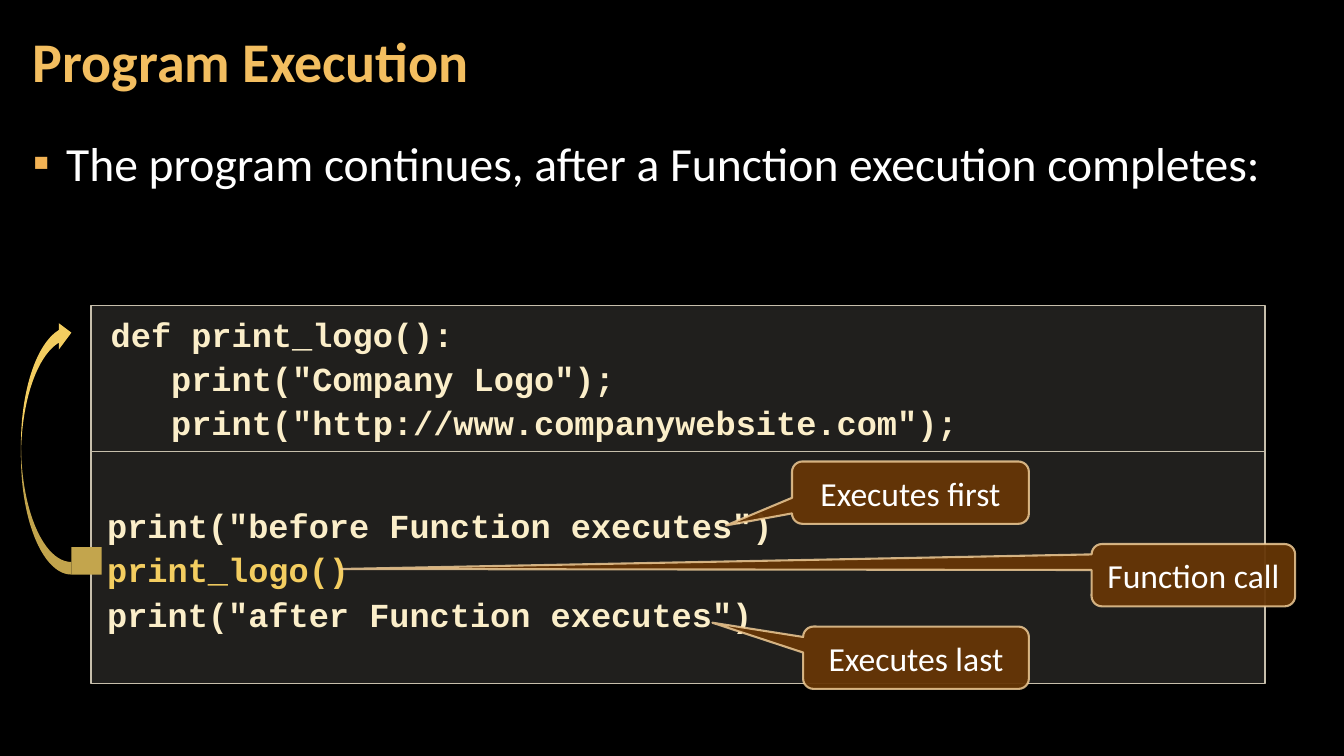
from pptx import Presentation
from pptx.dml.color import RGBColor
from pptx.enum.shapes import MSO_SHAPE
from pptx.enum.text import MSO_ANCHOR, PP_ALIGN
from pptx.oxml import parse_xml
from pptx.oxml.ns import nsdecls, qn
from pptx.util import Cm, Pt

CODE_FONT, TEXT_FONT = "Courier New", "Calibri"
WHITE, CREAM, GOLD = "FFFFFF", "FBEEC9", "F3CD60"


def colour(hex_string):
    return RGBColor.from_string(hex_string)


def set_alpha(paint, percent):
    solid = paint._xPr.find(qn("a:solidFill"))
    solid[0].append(parse_xml(f'<a:alpha {nsdecls("a")} val="{percent * 1000}"/>'))


def add_block(page, kind, box, fill, opacity=100):
    shape = page.shapes.add_shape(kind, *map(Cm, box))
    shape.shadow.inherit = False
    shape.fill.solid()
    shape.fill.fore_color.rgb = colour(fill)
    set_alpha(shape.fill, opacity)
    shape.line.fill.background()
    return shape


def set_line(shape, hex_string, width):
    shape.line.color.rgb = colour(hex_string)
    shape.line.width = Pt(width)


def set_frame(shape, anchor, side=0.3, top=0.1, bottom=0.1):
    frame = shape.text_frame
    frame.word_wrap = True
    frame.vertical_anchor = anchor
    frame.margin_left = frame.margin_right = Cm(side)
    frame.margin_top, frame.margin_bottom = Cm(top), Cm(bottom)
    return frame


def add_span(para, text, font, size, hex_string, bold=False):
    span = para.add_run()
    span.text = text
    span.font.name = font
    span.font.size = Pt(size)
    span.font.bold = bold
    span.font.color.rgb = colour(hex_string)


def add_title(page, box, text):
    frame = set_frame(page.shapes.add_textbox(*map(Cm, box)), MSO_ANCHOR.MIDDLE)
    para = frame.paragraphs[0]
    para.line_spacing = 0.9
    add_span(para, text, TEXT_FONT, 40, "F3BE60", True)


def add_body(page, box, text):
    frame = set_frame(page.shapes.add_textbox(*map(Cm, box)), MSO_ANCHOR.TOP)
    para = frame.paragraphs[0]
    para.line_spacing = 1.05
    properties = para._p.get_or_add_pPr()
    properties.set("marL", str(Cm(0.84)))
    properties.set("indent", str(-Cm(0.84)))
    for element in (
        f'<a:buClr {nsdecls("a")}><a:srgbClr val="F2B254"/></a:buClr>',
        f'<a:buFont {nsdecls("a")} typeface="{TEXT_FONT}"/>',
        f'<a:buChar {nsdecls("a")} char="▪"/>',
    ):
        properties.append(parse_xml(element))
    add_span(para, text, TEXT_FONT, 34, WHITE)


def add_code_panel(page, box, lines, anchor, side, bottom=0.1):
    panel = add_block(page, MSO_SHAPE.RECTANGLE, box, "D9D5C7", 15)
    set_line(panel, "C7BFAC", 1)
    frame = set_frame(panel, anchor, side, bottom=bottom)
    for index, (text, hex_string) in enumerate(lines):
        para = frame.add_paragraph() if index else frame.paragraphs[0]
        para.alignment = PP_ALIGN.LEFT
        para.line_spacing = 1.1
        add_span(para, text, CODE_FONT, 24, hex_string, True)


def add_callout(page, box, tip, text):
    callout = add_block(page, MSO_SHAPE.ROUNDED_RECTANGULAR_CALLOUT, box, "663606", 95)
    set_line(callout, "F8D49E", 1.5)
    set_alpha(callout.line.fill, 80)
    callout.adjustments[0], callout.adjustments[1] = tip
    para = set_frame(callout, MSO_ANCHOR.MIDDLE, 0.25).paragraphs[0]
    para.alignment = PP_ALIGN.CENTER
    add_span(para, text, TEXT_FONT, 24, WHITE)


def add_jump_arrow(page, box):
    left, top, width, height = box
    tail_width, tail_height = 0.76, 0.69
    bow_width = width - tail_width
    bow = add_block(page, MSO_SHAPE.CURVED_RIGHT_ARROW, (left, top, bow_width, height), GOLD)
    bow._element.spPr.xfrm.set("flipV", "1")
    for index, value in enumerate((0.25, 0.525, 0.25)):
        bow.adjustments[index] = value
    tail_box = (left + bow_width, top + height - tail_height, tail_width, tail_height)
    add_block(page, MSO_SHAPE.RECTANGLE, tail_box, "C3A54D")


def add_execution_diagram(page, box):
    left, top, width, height = box
    definition_height = 3.68
    add_code_panel(page, (left, top, width, definition_height), [
        ("def print_logo():", CREAM),
        ('   print("Company Logo");', CREAM),
        ('   print("http://www.companywebsite.com");', CREAM),
    ], MSO_ANCHOR.TOP, 0.5, 0.2)
    calls_top = top + definition_height
    add_code_panel(page, (left, calls_top, width, height - definition_height), [
        ('print("before Function executes")', CREAM),
        ("print_logo()", GOLD),
        ('print("after Function executes")', CREAM),
    ], MSO_ANCHOR.MIDDLE, 0.41)
    callouts = [
        (17.67, 5.97, (-0.779, 0.527), "Executes first"),
        (25.22, 5.13, (-4.189, -0.099), "Function call"),
        (17.95, 5.69, (-0.902, -0.563), "Executes last"),
    ]
    for index, (offset, callout_width, tip, text) in enumerate(callouts):
        callout_top = calls_top + 0.25 + index * 2.08
        add_callout(page, (left + offset, callout_top, callout_width, 1.57), tip, text)
    add_jump_arrow(page, (left - 1.76, top + 0.35, 2.03, 6.43))


def main():
    deck = Presentation()
    deck.slide_width, deck.slide_height = Cm(33.87), Cm(19.05)
    page = deck.slides.add_slide(deck.slide_layouts[6])
    page.background.fill.solid()
    page.background.fill.fore_color.rgb = colour("000000")
    add_title(page, (0.53, 0.1, 26.59, 3.07), "Program Execution")
    add_body(page, (0.53, 3.2, 32.79, 15.47),
             "The program continues, after a Function execution completes:")
    add_execution_diagram(page, (2.29, 7.7, 29.59, 9.52))
    deck.save("out.pptx")


if __name__ == "__main__":
    main()
